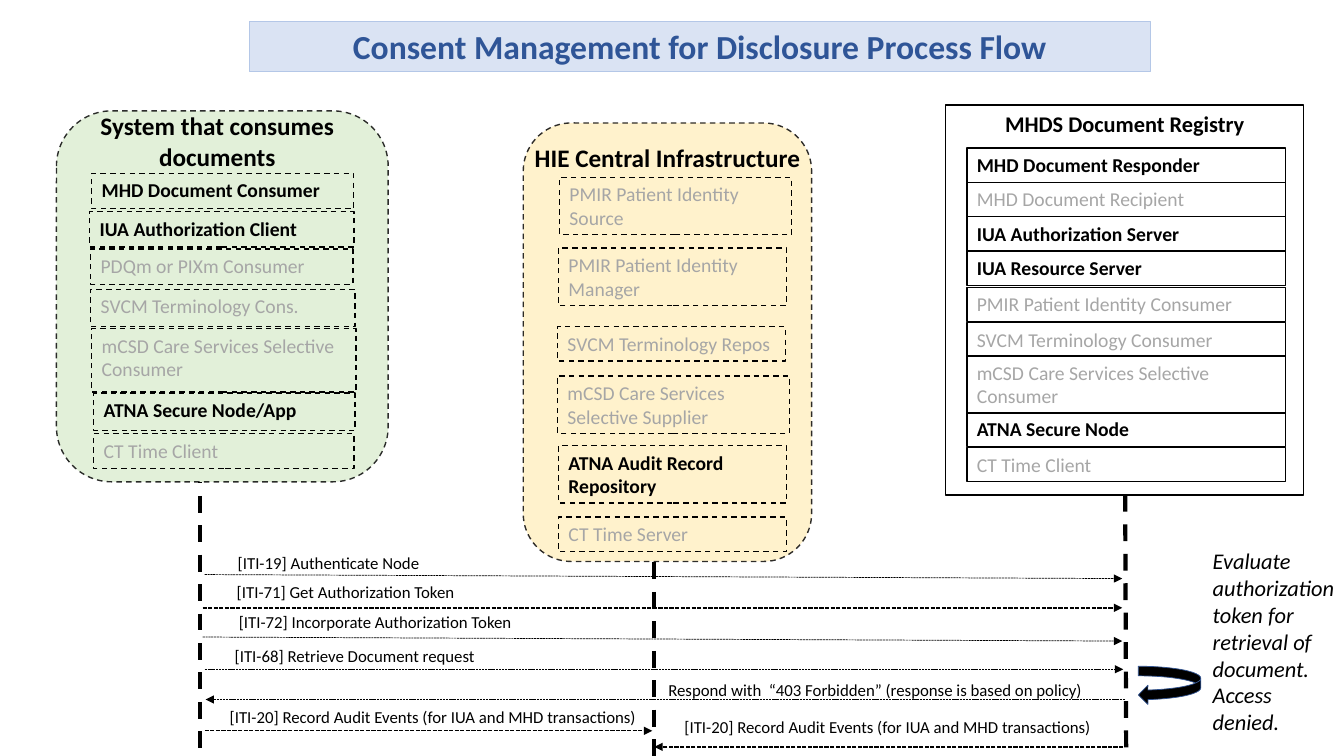
from dataclasses import dataclass

from pptx import Presentation
from pptx.dml.color import RGBColor
from pptx.enum.dml import MSO_LINE
from pptx.enum.shapes import MSO_CONNECTOR, MSO_SHAPE
from pptx.enum.text import MSO_ANCHOR, MSO_AUTO_SIZE, PP_ALIGN
from pptx.oxml.ns import qn
from pptx.util import Inches, Pt


@dataclass(frozen=True)
class Theme:
    """Colours, font and type sizes of the slide."""
    font: str = "Calibri"
    black: str = "000000"
    muted: str = "A6A6A6"
    title_text: str = "2F5597"
    title_fill: str = "DAE3F3"
    title_line: str = "B4C7E7"
    consumer_fill: str = "E2F0D9"
    hie_fill: str = "FFF2CC"
    loop_line: str = "325491"
    title_size: int = 24
    heading_size: int = 18
    note_size: int = 16
    actor_size: int = 14
    message_size: int = 12


THEME = Theme()
ONE_LINE, TWO_LINES = 0.34, 0.57
AUDIT = "[ITI-20] Record Audit Events (for IUA and MHD transactions)"

CONSUMER_ACTORS = [
    ("MHD Document Consumer", 0.91, 1.72, 2.6, 0.35, True),
    ("IUA Authorization Client", 0.89, 2.1, 2.62, 0.35, True),
    ("PDQm or PIXm Consumer", 0.9, 2.47, 2.6, 0.35, False),
    ("SVCM Terminology Cons.", 0.9, 2.87, 2.62, 0.37, False),
    ("mCSD Care Services Selective Consumer", 0.91, 3.26, 2.62, 0.63, False),
    ("ATNA Secure Node/App", 0.93, 3.9, 2.59, 0.37, True),
    ("CT Time Client", 0.93, 4.3, 2.58, 0.35, False),
]
HIE_ACTORS = [
    ("PMIR Patient Identity Source", 5.55, 1.76, 2.3, TWO_LINES, False),
    ("PMIR Patient Identity Manager", 5.54, 2.46, 2.26, TWO_LINES, False),
    ("SVCM Terminology Repos", 5.53, 3.24, 2.26, ONE_LINE, False),
    ("mCSD Care Services Selective Supplier", 5.53, 3.73, 2.3, TWO_LINES, False),
    ("ATNA Audit Record Repository", 5.54, 4.42, 2.26, TWO_LINES, True),
    ("CT Time Server", 5.54, 5.13, 2.26, ONE_LINE, False),
]
REGISTRY_ACTORS = [
    (name, 9.59, top, 3.16, height, active)
    for name, top, height, active in [
        ("MHD Document Responder", 1.47, ONE_LINE, True),
        ("MHD Document Recipient", 1.81, ONE_LINE, False),
        ("IUA Authorization Server", 2.15, ONE_LINE, True),
        ("IUA Resource Server", 2.49, ONE_LINE, True),
        ("PMIR Patient Identity Consumer", 2.85, ONE_LINE, False),
        ("SVCM Terminology Consumer", 3.2, ONE_LINE, False),
        ("mCSD Care Services Selective Consumer", 3.53, TWO_LINES, False),
        ("ATNA Secure Node", 4.09, ONE_LINE, True),
        ("CT Time Client", 4.44, ONE_LINE, False),
    ]
]
LIFELINES = [(1.98, 3.75, 1.98, 7.5), (6.49, 5.58, 6.49, 7.5), (11.16, 4.91, 11.17, 7.5)]
MESSAGES = [
    ("[ITI-19] Authenticate Node", (2.26, 5.43, 2.86), (2.03, 5.7, 11.13, 5.74), 0.5),
    ("[ITI-71] Get Authorization Token", (2.25, 5.72, 2.86), (2.01, 6.03, 11.13, 6.03), 1),
    ("[ITI-72] Incorporate Authorization Token", (2.27, 6.02, 3.69), (2.01, 6.32, 11.13, 6.36), 0.5),
    ("[ITI-68] Retrieve Document request", (2.23, 6.36, 2.86), (2.03, 6.64, 11.14, 6.64), 0.5),
    ("Respond with  “403 Forbidden” (response is based on policy)",
     (6.53, 6.69, 4.61), (11.16, 6.94, 2.04, 6.94), 0.5),
    (AUDIT, (2.18, 6.96, 4.58), (2.03, 7.25, 6.47, 7.25), 1),
    (AUDIT, (6.69, 7.06, 4.58), (11.14, 7.41, 6.49, 7.41), 1),
]


def write(holder, text, *, size, color=THEME.black, bold=False, italic=False,
          align=PP_ALIGN.LEFT, anchor=MSO_ANCHOR.TOP, wrap=True):
    """Put formatted text into a shape."""
    frame = holder.text_frame
    frame.word_wrap = wrap
    frame.auto_size = MSO_AUTO_SIZE.NONE
    frame.vertical_anchor = anchor
    frame.margin_left = frame.margin_right = Inches(0.1)
    frame.margin_top = frame.margin_bottom = Inches(0.05)
    paragraph = frame.paragraphs[0]
    paragraph.alignment = align
    run = paragraph.add_run()
    run.text = text
    font = run.font
    font.name, font.size, font.bold, font.italic = THEME.font, Pt(size), bold, italic
    font.color.rgb = RGBColor.from_string(color)


def paint(target, *, fill=None, line=THEME.black, width=1, dash=None):
    """Set the fill and outline of a shape."""
    if fill:
        target.fill.solid()
        target.fill.fore_color.rgb = RGBColor.from_string(fill)
    else:
        target.fill.background()
    stroke(target, line, width, dash)


def stroke(target, color, width, dash):
    """Set line colour, width and dash style."""
    target.line.color.rgb = RGBColor.from_string(color)
    target.line.width = Pt(width)
    if dash:
        target.line.dash_style = dash


def add_box(slide, box, preset=MSO_SHAPE.RECTANGLE, **look):
    """Add a painted preset shape without a shadow."""
    outline = slide.shapes.add_shape(preset, *map(Inches, box))
    outline.shadow.inherit = False
    paint(outline, **look)
    return outline


def add_label(slide, text, box, **style):
    """Add a free-standing piece of text."""
    write(slide.shapes.add_textbox(*map(Inches, box)), text, **style)


def add_system(slide, box, fill):
    """Add a rounded, dashed system container."""
    container = add_box(slide, box, MSO_SHAPE.ROUNDED_RECTANGLE,
                        fill=fill, dash=MSO_LINE.DASH)
    color = container.line._get_or_add_ln().find(".//" + qn("a:srgbClr"))
    color.makeelement(qn("a:alpha"), {"val": "81000"})
    color.append(color.makeelement(qn("a:alpha"), {"val": "81000"}))


def add_actors(slide, actors, dash=None):
    """Add actor boxes, with inactive ones in muted text."""
    for name, left, top, width, height, active in actors:
        actor = add_box(slide, (left, top, width, height), dash=dash)
        write(actor, name, size=THEME.actor_size, bold=active,
              color=THEME.black if active else THEME.muted)


def add_line(slide, ends, width, dash, arrow=False):
    """Add a dashed straight line, optionally ending in an arrowhead."""
    link = slide.shapes.add_connector(MSO_CONNECTOR.STRAIGHT, *map(Inches, ends))
    stroke(link, THEME.black, width, dash)
    if arrow:
        ln = link.line._get_or_add_ln()
        ln.append(ln.makeelement(qn("a:tailEnd"), {"type": "triangle"}))
    properties = link._element.spPr
    properties.append(properties.makeelement(qn("a:effectLst"), {}))


def add_title(slide, text):
    """Place the title banner."""
    title = slide.shapes.title
    title.left, title.top, title.width, title.height = map(Inches, (2.47, 0.21, 8.94, 0.5))
    paint(title, fill=THEME.title_fill, line=THEME.title_line, width=0.75)
    write(title, text, size=THEME.title_size, color=THEME.title_text, bold=True,
          align=PP_ALIGN.CENTER, anchor=MSO_ANCHOR.MIDDLE)


def add_evaluation(slide):
    """Add the registry's self-loop arrow and its explanation."""
    loop = add_box(slide, (11.29, 6.61, 0.62, 0.38), MSO_SHAPE.CURVED_RIGHT_ARROW,
                   fill=THEME.black, line=THEME.loop_line, width=0.5)
    loop._element.spPr.xfrm.set("flipH", "1")
    add_label(slide, "Evaluate authorization token for retrieval of document. Access denied.",
              (11.93, 5.38, 1.44, 1.99), size=THEME.note_size, italic=True)


def main():
    """Build and save the process flow slide."""
    deck = Presentation()
    deck.slide_width, deck.slide_height = Inches(13.33), Inches(7.5)
    slide = deck.slides.add_slide(deck.slide_layouts[5])
    heading = dict(size=THEME.heading_size, bold=True, align=PP_ALIGN.CENTER)
    add_title(slide, "Consent Management for Disclosure Process Flow")
    for ends in LIFELINES:
        add_line(slide, ends, 3, MSO_LINE.DASH)

    add_system(slide, (0.56, 1.1, 3.29, 3.68), THEME.consumer_fill)
    add_label(slide, "System that consumes documents", (0.4, 1.05, 3.51, 0.73), **heading)
    add_actors(slide, CONSUMER_ACTORS, MSO_LINE.DASH)

    add_system(slide, (5.19, 1.22, 2.86, 4.35), THEME.hie_fill)
    add_label(slide, "HIE Central Infrastructure", (5.19, 1.36, 2.86, 0.4),
              wrap=False, **heading)
    add_actors(slide, HIE_ACTORS, MSO_LINE.DASH)

    registry = add_box(slide, (9.38, 1.04, 3.55, 3.87))
    write(registry, "MHDS Document Registry", **{**heading, "size": THEME.note_size})
    add_actors(slide, REGISTRY_ACTORS)

    for text, (left, top, width), ends, weight in MESSAGES:
        add_line(slide, ends, weight, MSO_LINE.SQUARE_DOT, arrow=True)
        add_label(slide, text, (left, top, width, 0.3), size=THEME.message_size)
    add_evaluation(slide)
    deck.save("out.pptx")


main()
